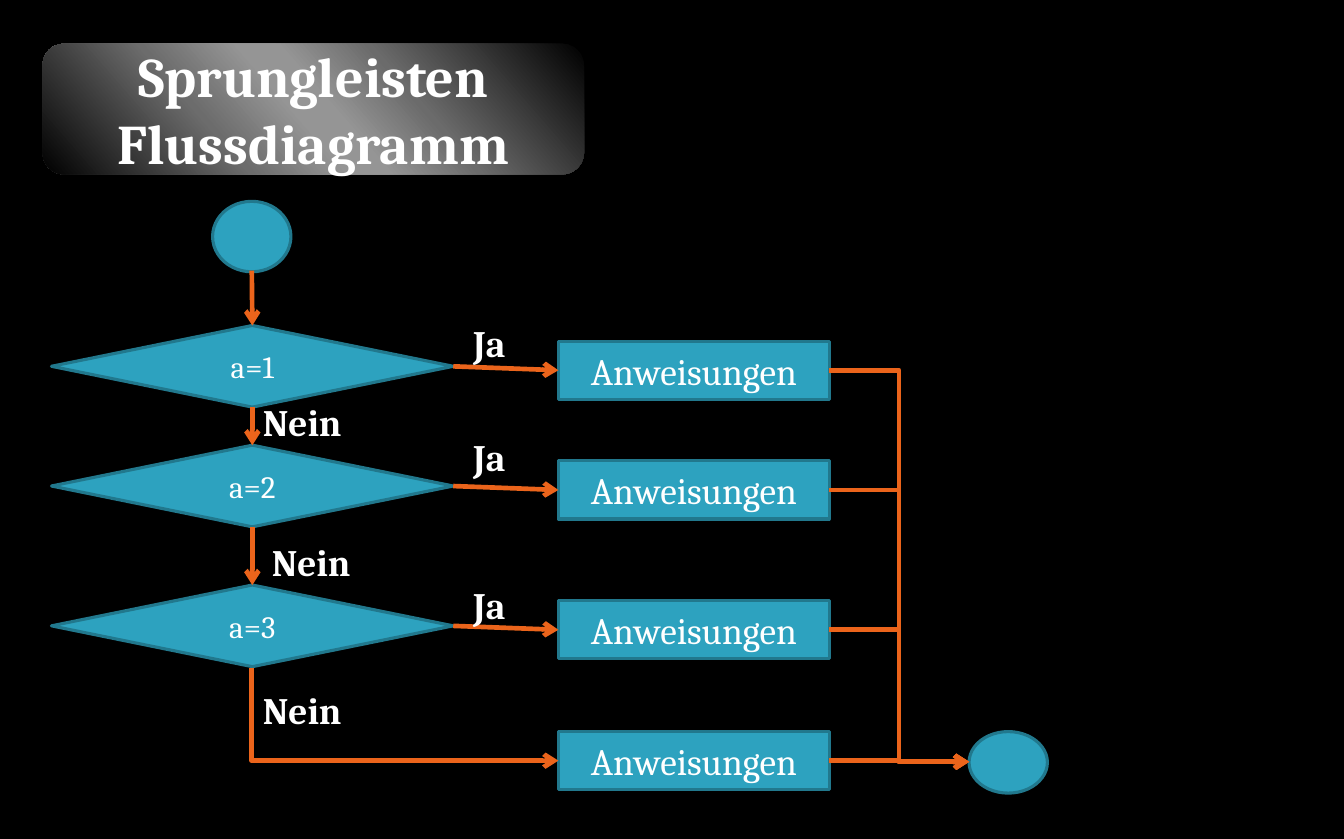
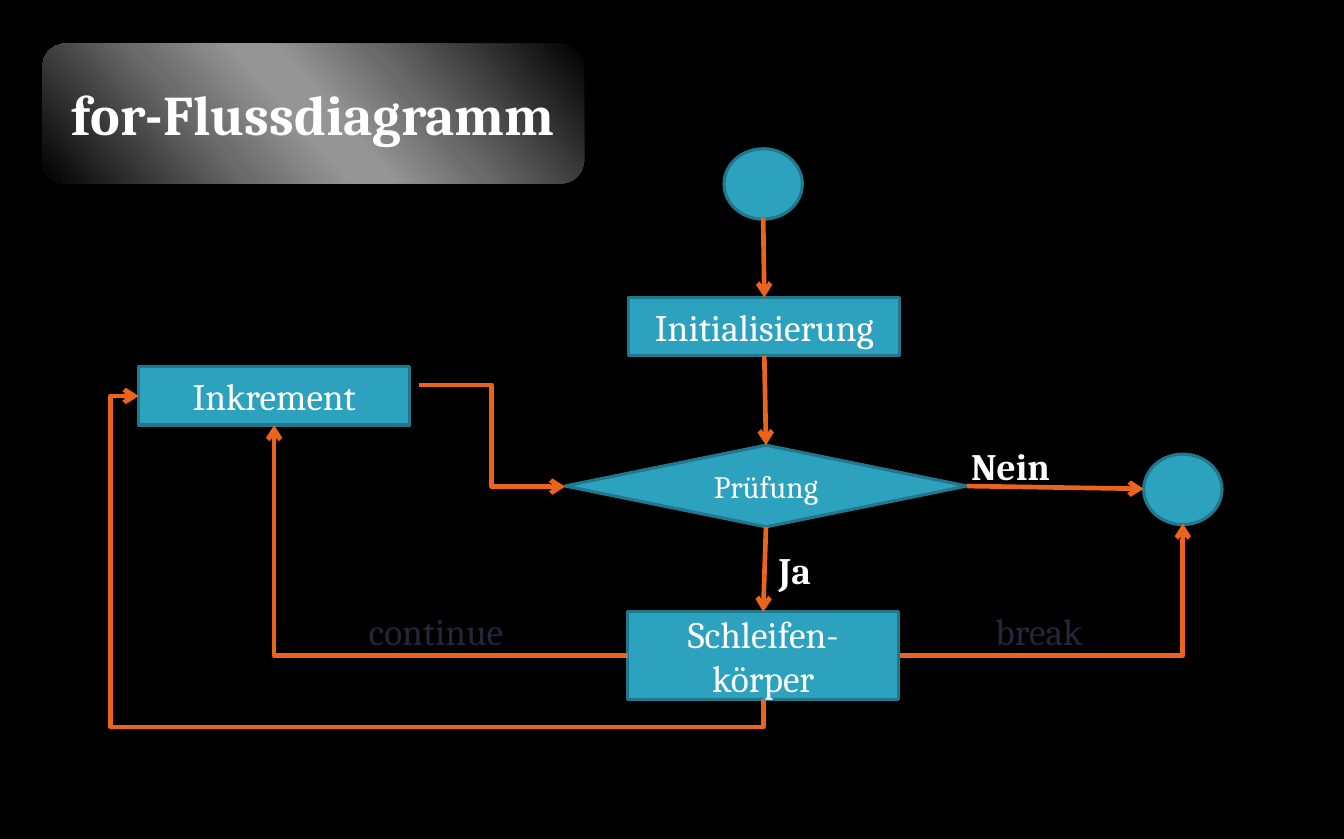
import pptx
import pptx.util
import pptx.dml.color
import pptx.enum.shapes
import pptx.enum.text
import pptx.oxml.ns
from lxml import etree

Inches = pptx.util.Inches
Pt = pptx.util.Pt
RGBColor = pptx.dml.color.RGBColor
FORMS = pptx.enum.shapes.MSO_SHAPE
LINKS = pptx.enum.shapes.MSO_CONNECTOR
ALIGN = pptx.enum.text.PP_ALIGN
MIDDLE = pptx.enum.text.MSO_ANCHOR.MIDDLE
qn = pptx.oxml.ns.qn

BLACK = RGBColor(0x00, 0x00, 0x00)
WHITE = RGBColor(0xFF, 0xFF, 0xFF)
TEAL = RGBColor(0x2D, 0xA2, 0xBF)
EDGE = RGBColor(0x21, 0x78, 0x8D)
ORANGE = RGBColor(0xEB, 0x64, 0x1B)
NIGHT = RGBColor(0x24, 0x26, 0x3C)
SHEEN = [(0, BLACK), (33, RGBColor(0x6B, 0x6B, 0x6B)),
         (47, RGBColor(0x95, 0x95, 0x95)), (53, RGBColor(0x95, 0x95, 0x95)),
         (68, RGBColor(0x6C, 0x6C, 0x6C)), (100, BLACK)]
FONT = "Cambria"
TOP, LEFT, BOTTOM, RIGHT = range(4)


def write(shape, text, size, color=WHITE, bold=False, align=ALIGN.CENTER):
    """Put each line of text into its own paragraph."""
    frame = shape.text_frame
    frame.word_wrap = True
    for i, line in enumerate(text.split("\n")):
        par = frame.add_paragraph() if i else frame.paragraphs[0]
        par.alignment = align
        run = par.add_run()
        run.text = line
        run.font.name = FONT
        run.font.size = Pt(size)
        run.font.bold = bold
        run.font.color.rgb = color


def add_form(slide, form, x, y, w, h):
    shape = slide.shapes.add_shape(form, Inches(x), Inches(y), Inches(w), Inches(h))
    shape.shadow.inherit = False
    shape.text_frame.vertical_anchor = MIDDLE
    return shape


def add_node(slide, form, x, y, w, h, text="", size=24):
    node = add_form(slide, form, x, y, w, h)
    node.fill.solid()
    node.fill.fore_color.rgb = TEAL
    node.line.color.rgb = EDGE
    node.line.width = Pt(2)
    if text:
        write(node, text, size)
    return node


def add_test(slide, x, y, text):
    return add_node(slide, FORMS.FLOWCHART_DECISION, x, y, 3.59, 0.73, text, 20)


def add_task(slide, x, y, text, h=0.52):
    return add_node(slide, FORMS.RECTANGLE, x, y, 2.42, h, text)


def add_dot(slide, x, y, h=0.63):
    return add_node(slide, FORMS.OVAL, x, y, 0.7, h)


def add_label(slide, x, y, text, w=1.25, color=WHITE, bold=True, align=ALIGN.LEFT):
    box = slide.shapes.add_textbox(Inches(x), Inches(y), Inches(w), Inches(0.5))
    write(box, text, 24, color, bold, align)


def add_title(slide, text, h):
    plate = add_form(slide, FORMS.ROUNDED_RECTANGLE, 0.38, 0.39, 4.84, h)
    plate.line.fill.background()
    plate.fill.gradient()
    plate.fill.gradient_angle = 360 - 139
    stops = plate._element.spPr.find(".//" + qn("a:gsLst"))
    for old in list(stops):
        stops.remove(old)
    for place, color in SHEEN:
        stop = etree.SubElement(stops, qn("a:gs"), pos=str(place * 1000))
        etree.SubElement(stop, qn("a:srgbClr"), val=str(color))
    write(plate, text, 36, bold=True)


def point(line):
    """Give a line its colour, width and arrowhead."""
    line.color.rgb = ORANGE
    line.width = Pt(3)
    ln = line._get_or_add_ln()
    etree.SubElement(ln, qn("a:round"))
    etree.SubElement(ln, qn("a:tailEnd"), type="arrow")


def add_link(slide, start, end, kind=LINKS.STRAIGHT):
    """Draw an arrow; an end is either (x, y) or (node, side)."""
    ends = (start, end)
    free = [(0, 0) if hasattr(spot[0], "shape_id") else spot for spot in ends]
    link = slide.shapes.add_connector(kind, *(Inches(v) for spot in free for v in spot))
    for spot, join in zip(ends, (link.begin_connect, link.end_connect)):
        if hasattr(spot[0], "shape_id"):
            join(*spot)
    point(link.line)
    etree.SubElement(link._element.spPr, qn("a:effectLst"))


def add_route(slide, *spots):
    """Draw an arrow along several corners."""
    first, *rest = [(Inches(x), Inches(y)) for x, y in spots]
    pen = slide.shapes.build_freeform(*first)
    pen.add_line_segments(rest, close=False)
    route = pen.convert_to_shape()
    route.fill.background()
    route.shadow.inherit = False
    point(route.line)


def draw_jump(slide):
    tops = (2.91, 3.98, 5.23)
    tests = [add_test(slide, 0.46, y, f"a={i}") for i, y in enumerate(tops, 1)]
    rows = [y + 0.14 for y in tops] + [6.54]
    tasks = [add_task(slide, 4.99, y, "Anweisungen") for y in rows]
    add_dot(slide, 1.9, 1.8)
    add_dot(slide, 8.66, 6.54, 0.55)

    add_link(slide, (2.25, 2.42), (tests[0], TOP))
    for upper, lower in zip(tests, tests[1:]):
        add_link(slide, (upper, BOTTOM), (lower, TOP))
    for test, task in zip(tests, tasks):
        add_link(slide, (test, RIGHT), (task, LEFT))
    for y in rows:
        add_link(slide, (7.41, y + 0.26), (8.66, 6.81), LINKS.ELBOW)
    add_route(slide, (2.25, 5.97), (2.25, 6.8), (4.99, 6.8))

    for y in (2.81, 3.83, 5.16):
        add_label(slide, 4.13, y, "Ja", 0.94)
    for x, y in ((2.25, 3.52), (2.33, 4.77), (2.25, 6.09)):
        add_label(slide, x, y, "Nein")
    add_title(slide, "Sprungleisten Flussdiagramm", 1.17)


def draw_loop(slide):
    add_title(slide, "for-Flussdiagramm", 1.25)
    add_dot(slide, 6.47, 1.33)
    add_dot(slide, 10.22, 4.06)
    init = add_task(slide, 5.62, 2.66, "Initialisierung")
    test = add_test(slide, 5.05, 3.98, "Prüfung")
    body = add_task(slide, 5.61, 5.47, "Schleifen-\nkörper", 0.78)
    add_task(slide, 1.24, 3.28, "Inkrement")

    add_link(slide, (6.82, 1.95), (init, TOP))
    add_link(slide, (init, BOTTOM), (test, TOP))
    add_link(slide, (test, BOTTOM), (body, TOP))
    add_link(slide, (test, RIGHT), (10.22, 4.37))
    add_link(slide, (3.74, 3.44), (5.05, 4.35), LINKS.ELBOW)
    add_route(slide, (5.61, 5.86), (2.45, 5.86), (2.45, 3.8))
    add_route(slide, (8.04, 5.86), (10.57, 5.86), (10.57, 4.68))
    add_route(slide, (6.82, 6.25), (6.82, 6.5), (0.99, 6.5), (0.99, 3.54), (1.24, 3.54))

    add_label(slide, 8.58, 3.91, "Nein")
    add_label(slide, 6.86, 4.84, "Ja")
    for x, word in ((2.8, "continue"), (8.19, "break")):
        add_label(slide, x, 5.39, word, 2.19, NIGHT, False, ALIGN.CENTER)


def main():
    deck = pptx.Presentation()
    deck.slide_width, deck.slide_height = Inches(12.01), Inches(7.5)
    back = deck.slide_master.background.fill
    back.solid()
    back.fore_color.rgb = BLACK
    for draw in (draw_jump, draw_loop):
        draw(deck.slides.add_slide(deck.slide_layouts[6]))
    deck.save("out.pptx")


if __name__ == "__main__":
    main()
